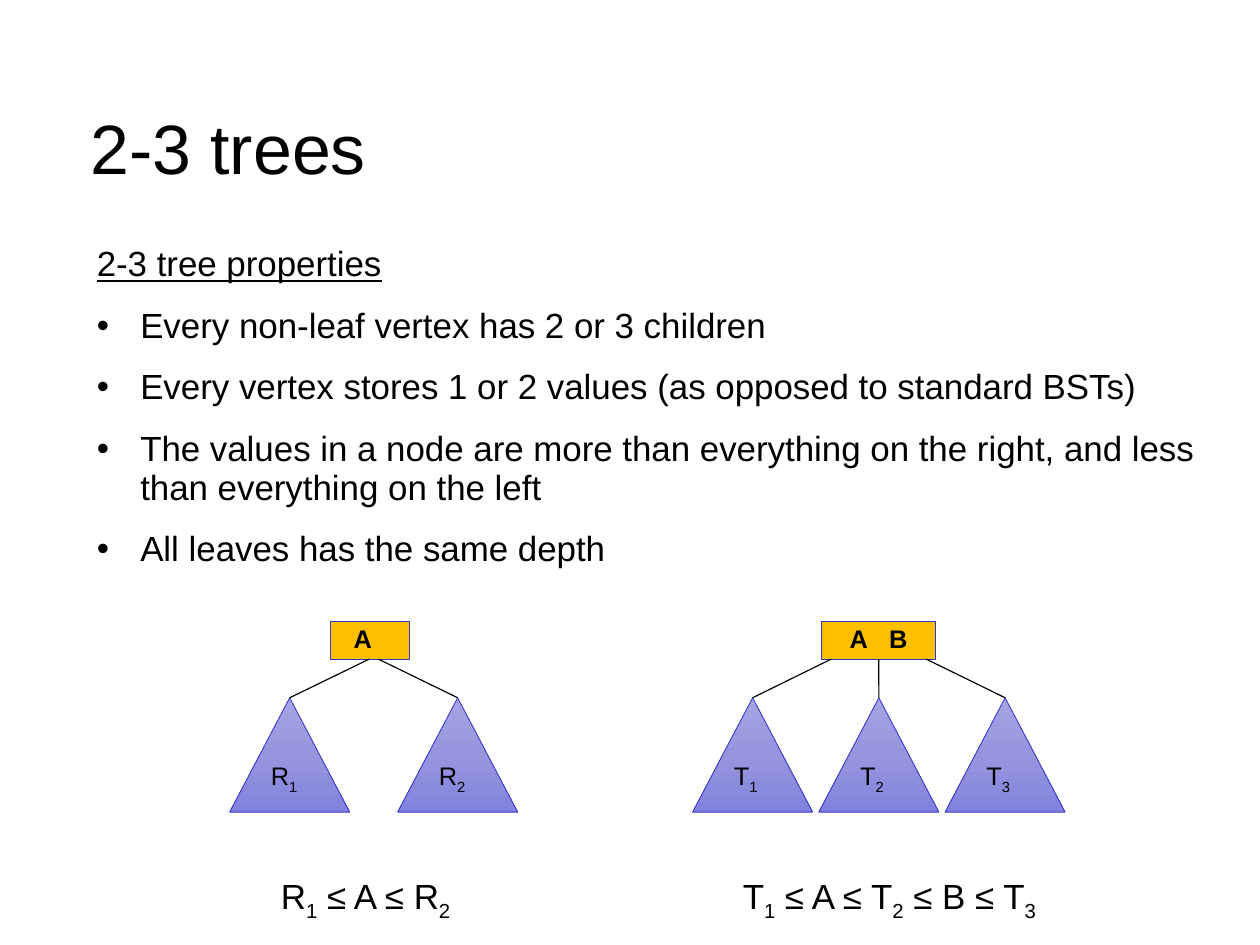
"""Build a slide on the properties of 2-3 trees."""
from copy import deepcopy

from lxml.etree import SubElement
from pptx import Presentation
from pptx.dml.color import RGBColor
from pptx.enum.shapes import MSO_CONNECTOR, MSO_SHAPE
from pptx.enum.text import MSO_ANCHOR, PP_ALIGN
from pptx.oxml.ns import qn
from pptx.util import Cm, Inches, Pt

BLACK = RGBColor(0x00, 0x00, 0x00)
AMBER = RGBColor(0xFF, 0xC0, 0x00)
BLUE = RGBColor(0x33, 0x33, 0xCC)
SUBTREE_SHADES = (
    RGBColor(0xA4, 0xA4, 0xE4),
    RGBColor(0x96, 0x96, 0xDE),
    RGBColor(0x82, 0x82, 0xDE),
)
FONT = "Arial"
WIDTH, HEIGHT = Cm(28), Cm(21)

NODE_TOP, NODE_HEIGHT = 65.75, 4
BRANCH_TOP = NODE_TOP + NODE_HEIGHT
SUBTREE_TOP, SUBTREE_WIDTH, SUBTREE_HEIGHT = 73.84, 9.53, 12.1
FORMULA_TOP, FORMULA_HEIGHT = 91.96, 5.44
KEY_GAP = Pt(8.9)

PROPERTIES = (
    "Every non-leaf vertex has 2 or 3 children",
    "Every vertex stores 1 or 2 values (as opposed to standard BSTs)",
    "The values in a node are more than everything on the right, "
    "and less than everything on the left",
    "All leaves has the same depth",
)


def across(percent):
    """Turn a percentage of the slide width into a length."""
    return round(WIDTH * percent / 100)


def down(percent):
    """Turn a percentage of the slide height into a length."""
    return round(HEIGHT * percent / 100)


def area(left, top, width, height):
    """Turn percentages of the slide into a position and a size."""
    return across(left), down(top), across(width), down(height)


def add_span(para, text, size, bold=False, underline=False, subscript=False):
    """Add one run of text and return it."""
    span = para.add_run()
    span.text = text
    font = span.font
    font.name, font.size, font.bold = FONT, Pt(size), bold
    font.underline = underline
    font.color.rgb = BLACK
    if subscript:
        font._element.set("baseline", "-25000")
    return span


def add_indexed(para, parts, size):
    """Add parts in which every second one is a subscript."""
    for index, part in enumerate(parts):
        add_span(para, part, size, subscript=index % 2 == 1)


def first_para(shape):
    """Return the first paragraph with the line spacing of the slide."""
    para = shape.text_frame.paragraphs[0]
    para.line_spacing = 0.93
    return para


def add_box(page, place, inset_top=None, wrap=True):
    """Add a text box, without side insets if a top inset is given."""
    box = page.shapes.add_textbox(*area(*place))
    frame = box.text_frame
    frame.word_wrap = wrap
    if inset_top is not None:
        frame.margin_left = frame.margin_right = frame.margin_bottom = 0
        frame.margin_top = Inches(inset_top)
    return box


def set_indent(para, margin, hanging=0, bullet=None):
    """Set the indents of a paragraph and its bullet."""
    properties = para._p.get_or_add_pPr()
    properties.set("marL", str(Inches(margin)))
    properties.set("indent", str(-Inches(hanging)))
    if bullet:
        SubElement(properties, qn("a:buFont"), typeface=FONT)
        SubElement(properties, qn("a:buChar"), char=bullet)


def add_title(page, text):
    """Add the slide title."""
    box = add_box(page, (7.17, 7.5, 83.94, 16.57), inset_top=0.04)
    box.text_frame.vertical_anchor = MSO_ANCHOR.MIDDLE
    add_span(first_para(box), text, 44)


def add_properties(page, heading, items):
    """Add the underlined heading and its bulleted list."""
    box = add_box(page, (7.14, 25.76, 87.84, 63.6), inset_top=0.02)
    para = first_para(box)
    para.space_after = Pt(14.2)
    set_indent(para, 0.06)
    add_span(para, heading, 22, underline=True)
    for item in items:
        para = box.text_frame.add_paragraph()
        para.line_spacing, para.space_after = 0.93, Pt(14.2)
        set_indent(para, 0.44, hanging=0.38, bullet="•")
        add_span(para, item, 22)


def add_outlined(page, kind, place):
    """Add a preset shape with a thin blue outline and no shadow."""
    shape = page.shapes.add_shape(kind, *area(*place))
    shape.shadow.inherit = False
    shape.line.color.rgb = BLUE
    shape.line.width = Pt(0.5)
    return shape


def add_node(page, left, width, keys):
    """Add a vertex with one or two keys."""
    node = add_outlined(
        page, MSO_SHAPE.RECTANGLE, (left, NODE_TOP, width, NODE_HEIGHT))
    node.fill.solid()
    node.fill.fore_color.rgb = AMBER
    frame = node.text_frame
    frame.word_wrap = False
    frame.vertical_anchor = MSO_ANCHOR.MIDDLE
    para = first_para(node)
    para.alignment = PP_ALIGN.CENTER
    add_span(para, keys[0], 16, bold=True)
    if len(keys) == 1:
        frame.margin_right = Inches(0.1) + KEY_GAP
    for key in keys[1:]:
        gap = add_span(para, " ", 16, bold=True)
        gap.font._element.set("spc", str(round(KEY_GAP.pt * 100)))
        add_span(para, key, 16, bold=True)


def add_branch(page, start, end):
    """Add a line from a vertex down to the tip of a subtree."""
    branch = page.shapes.add_connector(
        MSO_CONNECTOR.STRAIGHT,
        across(start), down(BRANCH_TOP), across(end), down(SUBTREE_TOP))
    branch.line.color.rgb = BLACK
    branch.line.width = Pt(0.75)
    SubElement(branch._element.spPr, qn("a:effectLst"))


def shade(shape, colors):
    """Fill a shape from top to bottom with evenly spaced colours."""
    shape.fill.gradient()
    shape.fill.gradient_angle = 270
    stops = shape._element.spPr.find(qn("a:gradFill")).find(qn("a:gsLst"))
    stops.insert(1, deepcopy(stops[0]))
    for index, (stop, color) in enumerate(
            zip(shape.fill.gradient_stops, colors)):
        stop.color.rgb = color
        stop.position = index / (len(colors) - 1)


def add_subtree(page, left, letter, number):
    """Add a triangle labelled with an indexed letter."""
    subtree = add_outlined(
        page, MSO_SHAPE.ISOSCELES_TRIANGLE,
        (left, SUBTREE_TOP, SUBTREE_WIDTH, SUBTREE_HEIGHT))
    shade(subtree, SUBTREE_SHADES)
    subtree.text_frame.vertical_anchor = MSO_ANCHOR.TOP
    para = first_para(subtree)
    para.alignment = PP_ALIGN.LEFT
    add_indexed(para, (letter, str(number)), 16)


def add_tree(page, keys, letter, node, branches, subtrees):
    """Add a vertex with its subtrees, placed by first offset and pitch."""
    add_node(page, *node, keys)
    for index in range(len(keys) + 1):
        start = branches[0] + index * branches[1]
        left = subtrees[0] + index * subtrees[1]
        add_branch(page, start, left + SUBTREE_WIDTH / 2)
        add_subtree(page, left, letter, index + 1)


def add_formula(page, keys, letter, left, width):
    """Add the ordering of subtrees and keys."""
    box = add_box(
        page, (left, FORMULA_TOP, width, FORMULA_HEIGHT), wrap=False)
    parts = [letter, "1"]
    for number, key in enumerate(keys, 2):
        parts += [f" ≤ {key} ≤ {letter}", str(number)]
    add_indexed(first_para(box), parts, 22)


def main():
    """Build the slide and save it."""
    deck = Presentation()
    deck.slide_width, deck.slide_height = WIDTH, HEIGHT
    page = deck.slides.add_slide(deck.slide_layouts[6])
    add_title(page, "2-3 trees")
    add_properties(page, "2-3 tree properties", PROPERTIES)
    add_tree(page, "AB", "T", (65.2, 9.07), (65.97, 3.77), (54.97, 10.02))
    add_formula(page, "AB", "T", 58.06, 25.77)
    add_tree(page, "A", "R", (26.22, 6.26), (29.3, 0.73), (18.23, 13.33))
    add_formula(page, "A", "R", 21.41, 15.7)
    deck.save("out.pptx")


if __name__ == "__main__":
    main()
